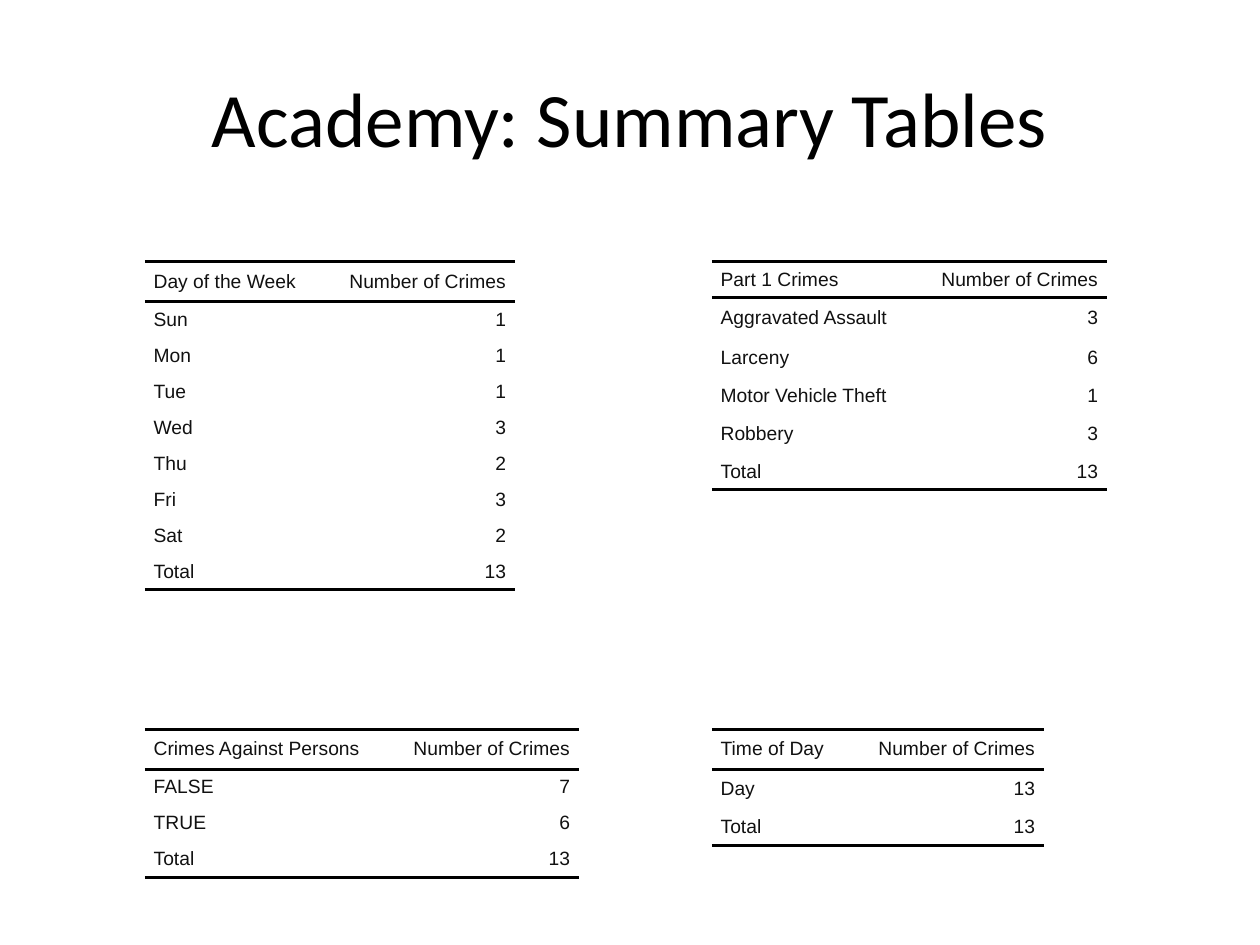
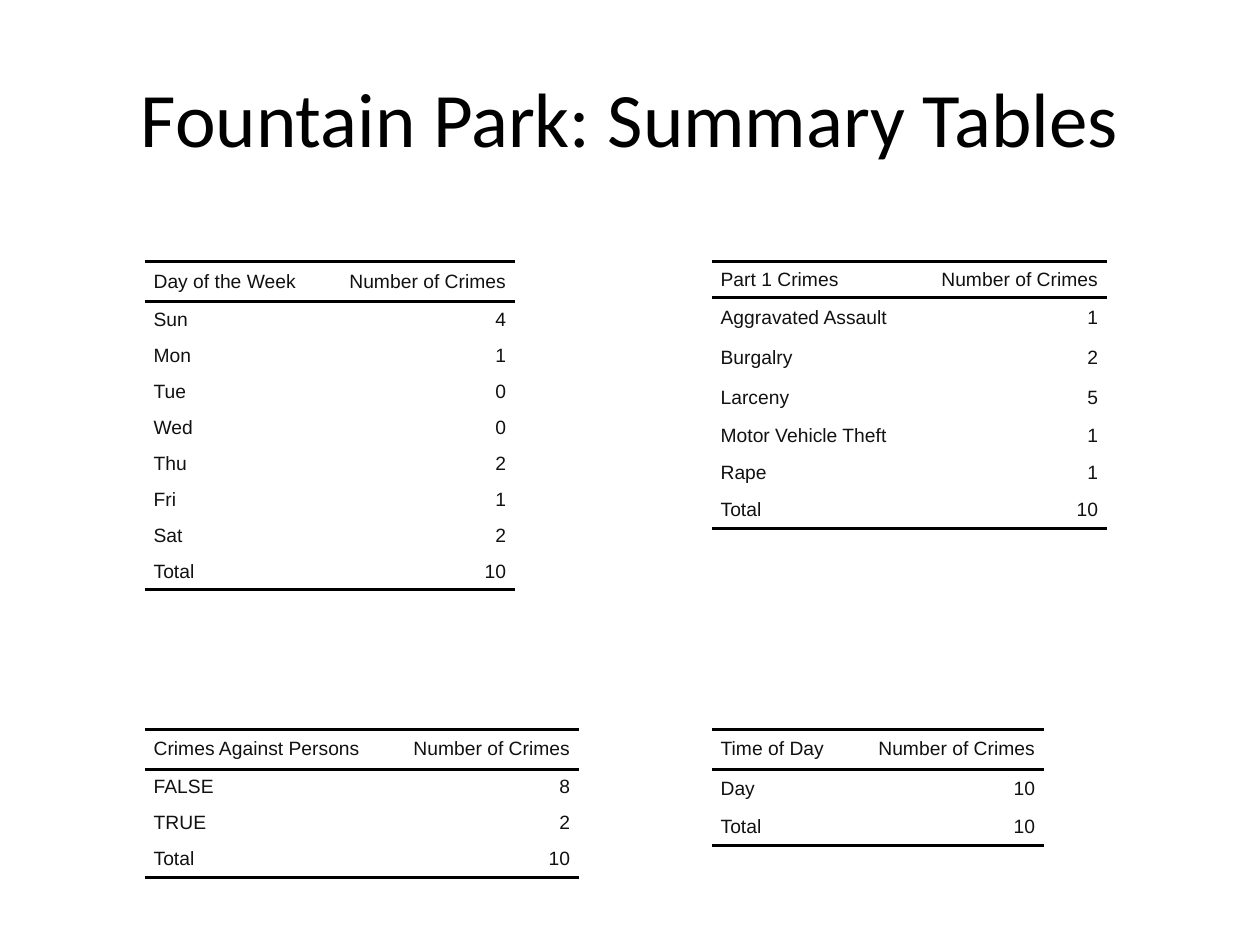
from lxml.etree import SubElement
from pptx import Presentation
from pptx.dml.color import RGBColor
from pptx.enum.text import MSO_ANCHOR as Anchor, PP_ALIGN as Align
from pptx.oxml.ns import qn
from pptx.util import Pt

COLORS = {"title": "000000", "rule": "000000", "cell": "111111"}
LOW, MID, HIGH = 20.6, 22, 22.9  # row heights
LEFT, RIGHT = 82.8, 406.8        # table columns on the page
UPPER, LOWER = 149.5, 416.7      # table rows on the page
COUNT_WIDTH = 109.6
DAYS = ["Sun", "Mon", "Tue", "Wed", "Thu", "Fri", "Sat"]


class SummaryDeck:
    def __init__(self):
        self.deck = Presentation()
        self.deck.slide_width, self.deck.slide_height = Pt(720), Pt(540)
        self.page = None

    def add_page(self, title):
        self.page = self.deck.slides.add_slide(self.deck.slide_layouts[6])
        box = self.page.shapes.add_textbox(Pt(36), Pt(21.6), Pt(648), Pt(90))
        frame = box.text_frame
        frame.word_wrap = True
        frame.vertical_anchor = Anchor.MIDDLE
        self.add_span(frame.paragraphs[0], title, "Calibri", 44, "title", Align.CENTER)

    def add_span(self, para, text, font, size, color, align):
        para.alignment = align
        span = para.add_run()
        span.text = text
        span.font.name = font
        span.font.size = Pt(size)
        span.font.color.rgb = RGBColor.from_string(COLORS[color])

    def set_borders(self, cell, ruled_edges):
        properties = cell._tc.get_or_add_tcPr()
        for edge in "LRTB":
            line = SubElement(properties, qn("a:ln" + edge), w=str(Pt(2)))
            if edge in ruled_edges:
                fill = SubElement(line, qn("a:solidFill"))
                SubElement(fill, qn("a:srgbClr"), val=COLORS["rule"])
            else:
                SubElement(line, qn("a:noFill"))

    def add_summary(self, left, top, label_width, heading, counts, heights):
        """Table of labels and counts, closed by their total."""
        rows = [(heading, "Number of Crimes"), *counts.items(),
                ("Total", sum(counts.values()))]
        widths = [label_width, COUNT_WIDTH]
        table = self.page.shapes.add_table(
            len(rows), 2, Pt(left), Pt(top), Pt(sum(widths)), Pt(sum(heights))).table
        table.first_row = table.horz_banding = False
        for column, width in zip(table.columns, widths):
            column.width = Pt(width)
        for index, (row, height) in enumerate(zip(rows, heights)):
            table.rows[index].height = Pt(height)
            # Rules above and below the heading, and below the total
            edges = {0: "TB", 1: "T", len(rows) - 1: "B"}.get(index, "")
            for place, (text, align) in enumerate(zip(row, (Align.LEFT, Align.RIGHT))):
                cell = table.cell(index, place)
                cell.margin_left = cell.margin_right = Pt(5)
                cell.margin_top = cell.margin_bottom = Pt(2)
                cell.vertical_anchor = Anchor.MIDDLE
                self.set_borders(cell, edges)
                cell.fill.background()
                self.add_span(cell.text_frame.paragraphs[0], str(text),
                              "Arial", 11, "cell", align)

    def add_area(self, area, part_one, part_one_heights, by_day, against_persons):
        """One page with the four summaries of an area."""
        self.add_page(f"{area}: Summary Tables")
        self.add_summary(RIGHT, UPPER, 116.1, "Part 1 Crimes", part_one, part_one_heights)
        self.add_summary(LEFT, UPPER, 101.8, "Day of the Week",
                         dict(zip(DAYS, by_day)), [HIGH] + [LOW] * 8)
        self.add_summary(LEFT, LOWER, 138.4, "Crimes Against Persons",
                         dict(zip(["FALSE", "TRUE"], against_persons)), [HIGH] + [LOW] * 3)
        self.add_summary(RIGHT, LOWER, 80.1, "Time of Day",
                         {"Day": sum(by_day)}, [HIGH, HIGH, LOW])


def main():
    summary = SummaryDeck()

    # Academy
    summary.add_area(
        "Academy",
        {"Aggravated Assault": 3, "Larceny": 6, "Motor Vehicle Theft": 1, "Robbery": 3},
        [LOW, HIGH, HIGH, LOW, HIGH, LOW],
        by_day=[1, 1, 1, 3, 2, 3, 2], against_persons=[7, 6])

    # Fountain Park
    summary.add_area(
        "Fountain Park",
        {"Aggravated Assault": 1, "Burgalry": 2, "Larceny": 5,
         "Motor Vehicle Theft": 1, "Rape": 1},
        [LOW, HIGH, HIGH, HIGH, LOW, MID, LOW],
        by_day=[4, 1, 0, 0, 2, 1, 2], against_persons=[8, 2])

    summary.deck.save("out.pptx")


if __name__ == "__main__":
    main()
